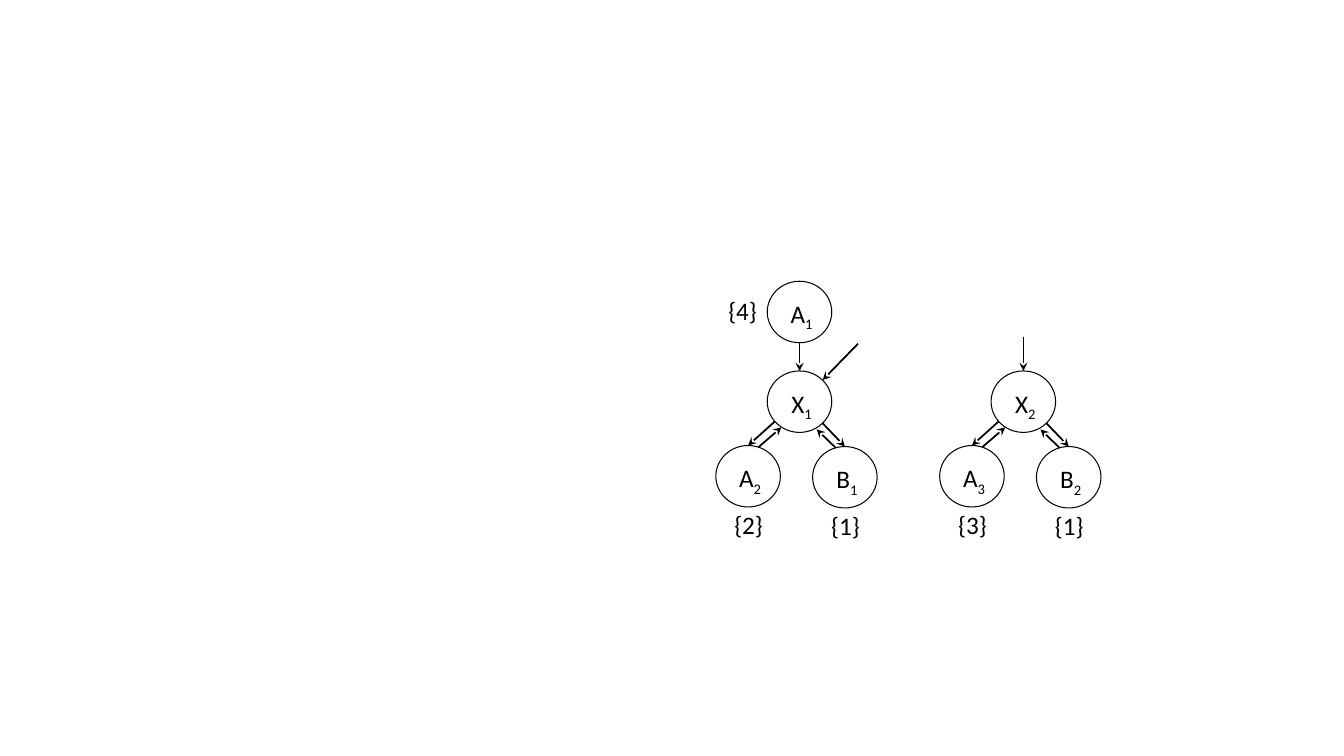
from dataclasses import dataclass

import pptx
import pptx.dml.color
import pptx.enum.shapes
import pptx.enum.text
import pptx.oxml
import pptx.oxml.ns
import pptx.shapes.autoshape
import pptx.shapes.connector
import pptx.slide
import pptx.util

EMU_PER_PX = 9144


@dataclass(frozen=True)
class Theme:
    ink: pptx.dml.color.RGBColor = pptx.dml.color.RGBColor(0, 0, 0)
    paper: pptx.dml.color.RGBColor = pptx.dml.color.RGBColor(255, 255, 255)
    font: str = "Calibri"
    text_size: float = 18
    arrow_width: float = 1.25
    outline_width: float = 0.75
    subscript: str = "-25000"


@dataclass(frozen=True)
class Point:
    x: int
    y: int

    def shifted(self, x: int, y: int) -> "Point":
        return Point(self.x + x, self.y + y)


@dataclass(frozen=True)
class Node:
    letter: str
    index: str
    corner: Point


@dataclass(frozen=True)
class Tree:
    root: Node
    left_index: str
    right_index: str
    left_value: str
    right_value: str
    entry_start: Point


THEME = Theme()
NODE_WIDTH, NODE_HEIGHT = 64, 61
VALUE_BELOW = Point(8, 58)
VALUE_BESIDE = Point(-49, 9)
TOP_SITE = 0

TREES = [
    Tree(Node("X", "1", Point(761, 368)), "2", "1", "{2}", "{1}", Point(793, 289)),
    Tree(Node("X", "2", Point(983, 368)), "3", "2", "{3}", "{1}", Point(1015, 334)),
]
TOP_NODE = Node("A", "1", Point(761, 279))
SIDE_ARROW = (Point(851, 341), Point(816, 377))


def px(length: int) -> pptx.util.Emu:
    return pptx.util.Emu(length * EMU_PER_PX)


def add_text(slide: pptx.slide.Slide, corner: Point, width: int,
             text: str, subscript: str = "") -> None:
    box = slide.shapes.add_textbox(px(corner.x), px(corner.y), px(width), px(40))
    frame = box.text_frame
    frame.word_wrap = False
    frame.auto_size = pptx.enum.text.MSO_AUTO_SIZE.SHAPE_TO_FIT_TEXT
    paragraph = frame.paragraphs[0]
    paragraph.alignment = pptx.enum.text.PP_ALIGN.CENTER
    for part in filter(None, (text, subscript)):
        run = paragraph.add_run()
        run.text = part
        run.font.name = THEME.font
        run.font.size = pptx.util.Pt(THEME.text_size)
        run.font.color.rgb = THEME.ink
    if subscript:
        run.font._element.set("baseline", THEME.subscript)


def add_node(slide: pptx.slide.Slide, node: Node) -> pptx.shapes.autoshape.Shape:
    shape = slide.shapes.add_shape(
        pptx.enum.shapes.MSO_SHAPE.OVAL, px(node.corner.x), px(node.corner.y),
        px(NODE_WIDTH), px(NODE_HEIGHT))
    shape.shadow.inherit = False
    shape.fill.solid()
    shape.fill.fore_color.rgb = THEME.paper
    shape.line.color.rgb = THEME.ink
    shape.line.width = pptx.util.Pt(THEME.outline_width)
    add_text(slide, node.corner.shifted(13, 12), 42, node.letter, node.index)
    return shape


def add_arrow(slide: pptx.slide.Slide, start: Point,
              end: Point) -> pptx.shapes.connector.Connector:
    arrow = slide.shapes.add_connector(
        pptx.enum.shapes.MSO_CONNECTOR.STRAIGHT,
        px(start.x), px(start.y), px(end.x), px(end.y))
    arrow.line.color.rgb = THEME.ink
    arrow.line.width = pptx.util.Pt(THEME.arrow_width)
    properties = arrow._element.spPr
    head = pptx.oxml.parse_xml(
        f'<a:tailEnd {pptx.oxml.ns.nsdecls("a")} type="stealth"/>')
    properties.find(pptx.oxml.ns.qn("a:ln")).append(head)
    properties.append(pptx.oxml.parse_xml(
        f'<a:effectLst {pptx.oxml.ns.nsdecls("a")}/>'))
    return arrow


def add_arrow_to_top(slide: pptx.slide.Slide, start: Point, node: Node,
                     shape: pptx.shapes.autoshape.Shape) -> None:
    arrow = add_arrow(slide, start, node.corner.shifted(NODE_WIDTH // 2, 0))
    arrow.end_connect(shape, TOP_SITE)


def add_tree(slide: pptx.slide.Slide, tree: Tree) -> None:
    corner = tree.root.corner
    add_arrow(slide, corner.shifted(-37, 100), corner.shifted(14, 56))
    add_arrow(slide, corner.shifted(83, 91), corner.shifted(49, 58))
    children = [
        (Node("A", tree.left_index, corner.shifted(-51, 74)), tree.left_value),
        (Node("B", tree.right_index, corner.shifted(45, 75)), tree.right_value),
    ]
    for child, value in children:
        shape = add_node(slide, child)
        add_text(slide, child.corner.shifted(VALUE_BELOW.x, VALUE_BELOW.y), 49, value)
        add_arrow_to_top(slide, corner.shifted(32, 28), child, shape)
    root_shape = add_node(slide, tree.root)
    add_arrow_to_top(slide, tree.entry_start, tree.root, root_shape)


def main() -> None:
    presentation = pptx.Presentation()
    presentation.slide_width = px(1333)
    presentation.slide_height = px(750)
    slide = presentation.slides.add_slide(presentation.slide_layouts[6])
    for tree in TREES:
        add_tree(slide, tree)
    add_node(slide, TOP_NODE)
    add_text(slide, TOP_NODE.corner.shifted(VALUE_BESIDE.x, VALUE_BESIDE.y), 49, "{4}")
    add_arrow(slide, *SIDE_ARROW)
    presentation.save("out.pptx")


if __name__ == "__main__":
    main()
